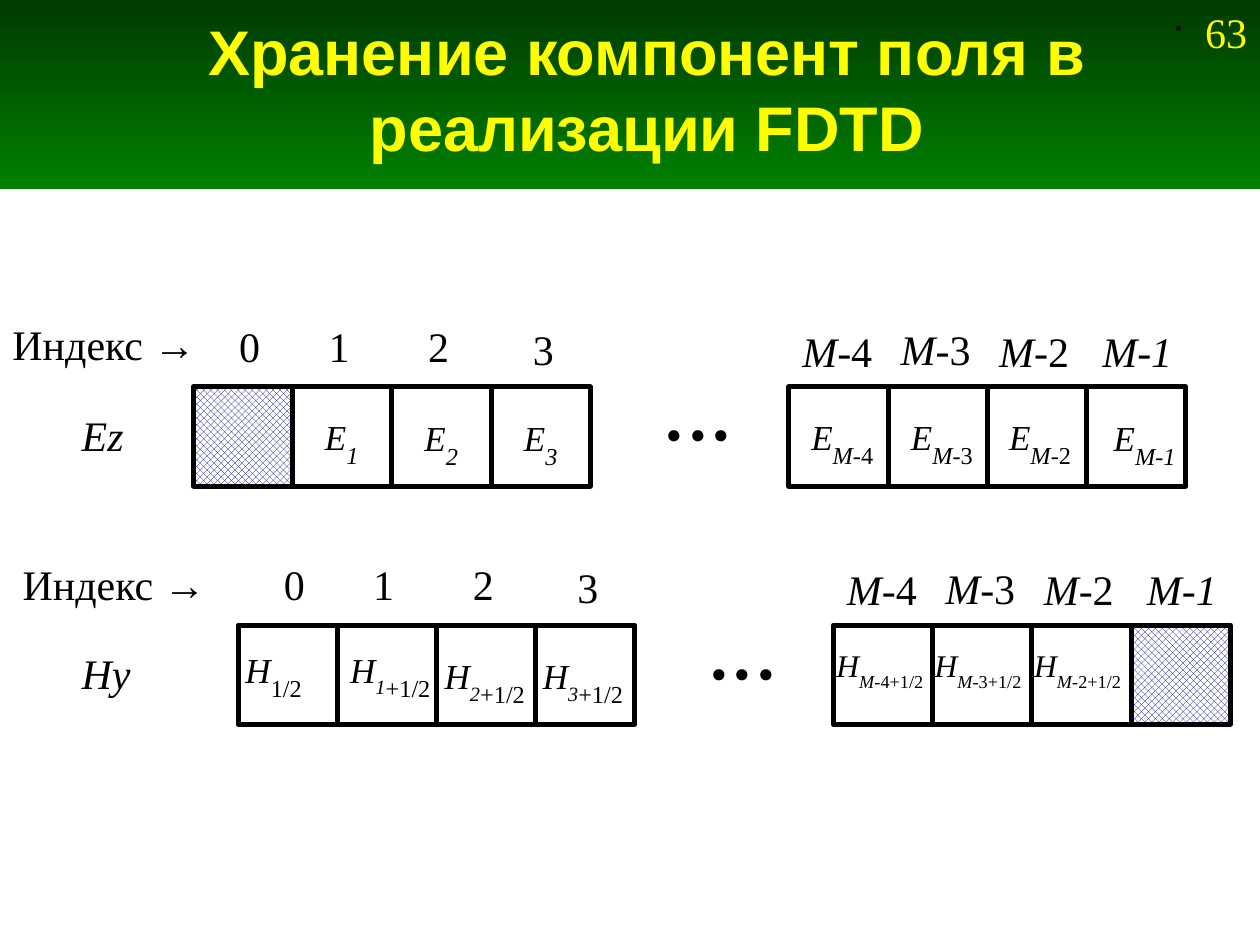
from lxml import etree
from pptx import Presentation
from pptx.dml.color import RGBColor
from pptx.enum.dml import MSO_PATTERN
from pptx.enum.shapes import MSO_SHAPE
from pptx.enum.text import MSO_ANCHOR, MSO_AUTO_SIZE, PP_ALIGN
from pptx.oxml.ns import qn
from pptx.util import Pt

RECTANGLE = MSO_SHAPE.RECTANGLE
DIAMONDS = MSO_PATTERN.OUTLINED_DIAMOND
MIDDLE = MSO_ANCHOR.MIDDLE
FIT_SHAPE = MSO_AUTO_SIZE.SHAPE_TO_FIT_TEXT
FIT_NONE = MSO_AUTO_SIZE.NONE
CENTER = PP_ALIGN.CENTER

BLACK = RGBColor(0, 0, 0)
WHITE = RGBColor(255, 255, 255)
NAVY = RGBColor(0, 0, 128)
YELLOW = RGBColor(255, 255, 0)
DARK_GREEN = RGBColor(0, 0x3B, 0)
GREEN = RGBColor(0, 128, 0)

CELL = 56.7
COLUMNS = (0, 1, 2, 3, 6, 7, 8, 9)
INDEX_HEIGHT = 36
COMPONENT_HEIGHT = 47


def plain(text, size=24):
    return text, size, False, False


def italic(text, size=24):
    return text, size, True, False


def sub(text, size=24):
    return text, size, False, True


def italic_sub(text, size=24):
    return text, size, True, True


INDEX_LABELS = [
    (19, -41.6, 25.9, [plain("0")]),
    (70.1, -41.6, 25.9, [plain("1")]),
    (127, -41.6, 25.9, [plain("2")]),
    (186.8, -39.9, 25.9, [plain("3")]),
    (340.8, -38.8, 55.4, [italic("M"), plain("-4")]),
    (397, -39.5, 55.4, [italic("M"), plain("-3")]),
    (453.3, -38.8, 55.4, [italic("M"), plain("-2")]),
    (512.2, -38.8, 56, [italic("M-1")]),
]


def electric(*indices):
    return [italic("E", 20), *indices]


def magnetic(index, shift, size=20, shift_size=24):
    return [italic("H", size), italic_sub(index, size), sub(shift, shift_size)]


ELECTRIC_ROW = {
    "origin": (110.6, 221.1),
    "empty_column": 0,
    "heading": (0, 178.6),
    "name": (39.6, 230.4, 39.6, "Ez"),
    "components": [
        (178.6, 229.7, 33.8, electric(italic_sub("1"))),
        (235.4, 230.4, 42.5, electric(italic_sub("2"))),
        (292.3, 230.4, 36.7, electric(italic_sub("3"))),
        (456.5, 229.7, 51.1, electric(italic_sub("M"), sub("-4"))),
        (513.4, 229.7, 51.1, electric(italic_sub("M"), sub("-3"))),
        (569.5, 229.7, 51.1, electric(italic_sub("M"), sub("-2"))),
        (629.3, 230.4, 53.3, electric(italic_sub("M-1"))),
    ],
}
MAGNETIC_ROW = {
    "origin": (136.1, 357.2),
    "empty_column": 9,
    "heading": (5.8, 315.4),
    "name": (39.6, 366.5, 45.4, "Hy"),
    "components": [
        (133.2, 362.9, 67.7, [italic("H", 20), sub("1/2")]),
        (193, 362.9, 67.7, magnetic("1", "+1/2")),
        (247, 366.5, 67.7, magnetic("2", "+1/2")),
        (303.1, 366.5, 67.7, magnetic("3", "+1/2")),
        (470.9, 365.8, 85, magnetic("M", "-4+1/2", 18, 18)),
        (527, 365.8, 85, magnetic("M", "-3+1/2", 18, 18)),
        (583.9, 365.8, 69.1, magnetic("M", "-2+1/2", 18, 18)),
    ],
}


def set_font(font, color=BLACK, **values):
    for name, value in values.items():
        setattr(font, name, value)
    font.color.rgb = color


def add_text(slide, left, top, width, height, runs, wrap=True, color=BLACK):
    shape = slide.shapes.add_textbox(Pt(left), Pt(top), Pt(width), Pt(height))
    frame = shape.text_frame
    frame.word_wrap = wrap
    frame.auto_size = FIT_SHAPE
    paragraph = frame.paragraphs[0]
    for text, size, slanted, lowered in runs:
        run = paragraph.add_run()
        run.text = text
        set_font(run.font, color, name="Times New Roman", size=Pt(size), italic=slanted)
        if lowered:
            run.font._element.set("baseline", "-33000")
    return paragraph


def add_rectangle(slide, left, top, width, height):
    shape = slide.shapes.add_shape(RECTANGLE, Pt(left), Pt(top), Pt(width), Pt(height))
    shape.shadow.inherit = False
    return shape


def add_cell(slide, left, top, empty):
    shape = add_rectangle(slide, left, top, CELL, CELL)
    fill = shape.fill
    if empty:
        fill.patterned()
        fill.pattern = DIAMONDS
        fill.fore_color.rgb = NAVY
        fill.back_color.rgb = WHITE
    else:
        fill.solid()
        fill.fore_color.rgb = WHITE
    shape.line.color.rgb = BLACK
    shape.line.width = Pt(2.83)


def add_row(slide, row):
    left, top = row["origin"]
    empty_column = row["empty_column"]
    for column in sorted(COLUMNS, key=lambda item: item == empty_column):
        add_cell(slide, left + column * CELL, top, column == empty_column)
    for x, y, width, runs in INDEX_LABELS:
        add_text(slide, left + x, top + y, width, INDEX_HEIGHT, runs, wrap=False)
    add_text(slide, left + 261, top - 26.7, 62.6, 72, [plain("...", 54)])
    for x, y, width, runs in row["components"]:
        add_text(slide, x, y, width, COMPONENT_HEIGHT, runs)
    add_text(slide, *row["heading"], 119.5, INDEX_HEIGHT, [plain("Индекс →")], wrap=False)
    x, y, width, name = row["name"]
    add_text(slide, x, y, width, INDEX_HEIGHT, [italic(name)])


def add_header(slide):
    band = add_rectangle(slide, 0, 0, 720, 108)
    band.line.fill.background()
    band.fill.gradient()
    band.fill.gradient_angle = 270
    for stop, color in zip(band.fill.gradient_stops, (DARK_GREEN, GREEN)):
        stop.color.rgb = color
    title = slide.shapes.title
    band._element.addnext(title._element)
    bounds = {"left": 48.2, "top": 3.6, "width": 643, "height": 93.6}
    for name, value in bounds.items():
        setattr(title, name, Pt(value))
    frame = title.text_frame
    frame.text = "Хранение компонент поля в реализации FDTD"
    frame.word_wrap = True
    frame.auto_size = FIT_NONE
    frame.vertical_anchor = MIDDLE
    paragraph = frame.paragraphs[0]
    paragraph.alignment = CENTER
    set_font(paragraph.runs[0].font, YELLOW, name="Arial", size=Pt(36), bold=True)


def add_slide_number(slide):
    paragraph = add_text(slide, 664.6, 0, 118, 36, [plain("63")], color=YELLOW)
    properties = paragraph._p.get_or_add_pPr()
    properties.set("marL", str(Pt(17)))
    properties.set("indent", str(-Pt(17)))
    bullet_color = etree.SubElement(properties, qn("a:buClr"))
    etree.SubElement(bullet_color, qn("a:srgbClr"), val=str(BLACK))
    etree.SubElement(properties, qn("a:buSzPct"), val="45000")
    etree.SubElement(properties, qn("a:buChar"), char="•")


def main():
    presentation = Presentation()
    presentation.slide_width = Pt(720)
    presentation.slide_height = Pt(540)
    slide = presentation.slides.add_slide(presentation.slide_layouts[5])
    add_header(slide)
    add_slide_number(slide)
    for row in (MAGNETIC_ROW, ELECTRIC_ROW):
        add_row(slide, row)
    presentation.save("out.pptx")


if __name__ == "__main__":
    main()
